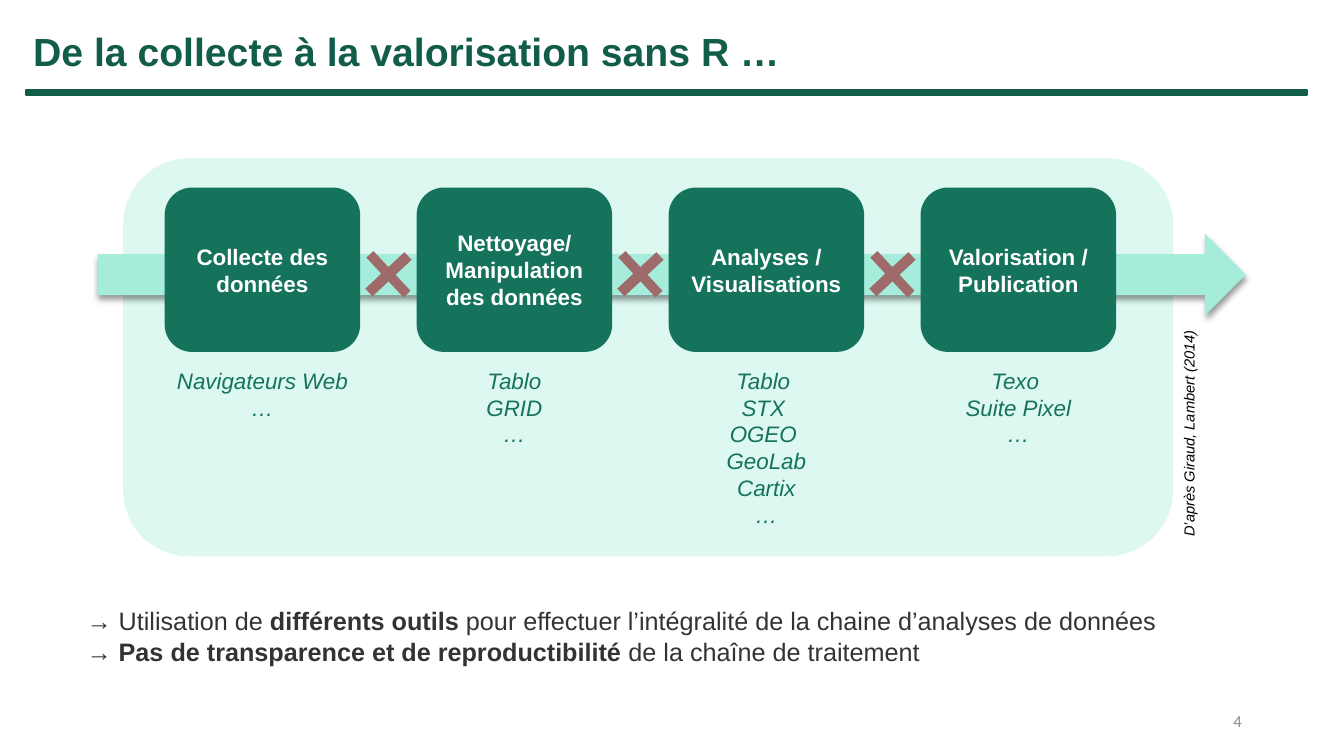
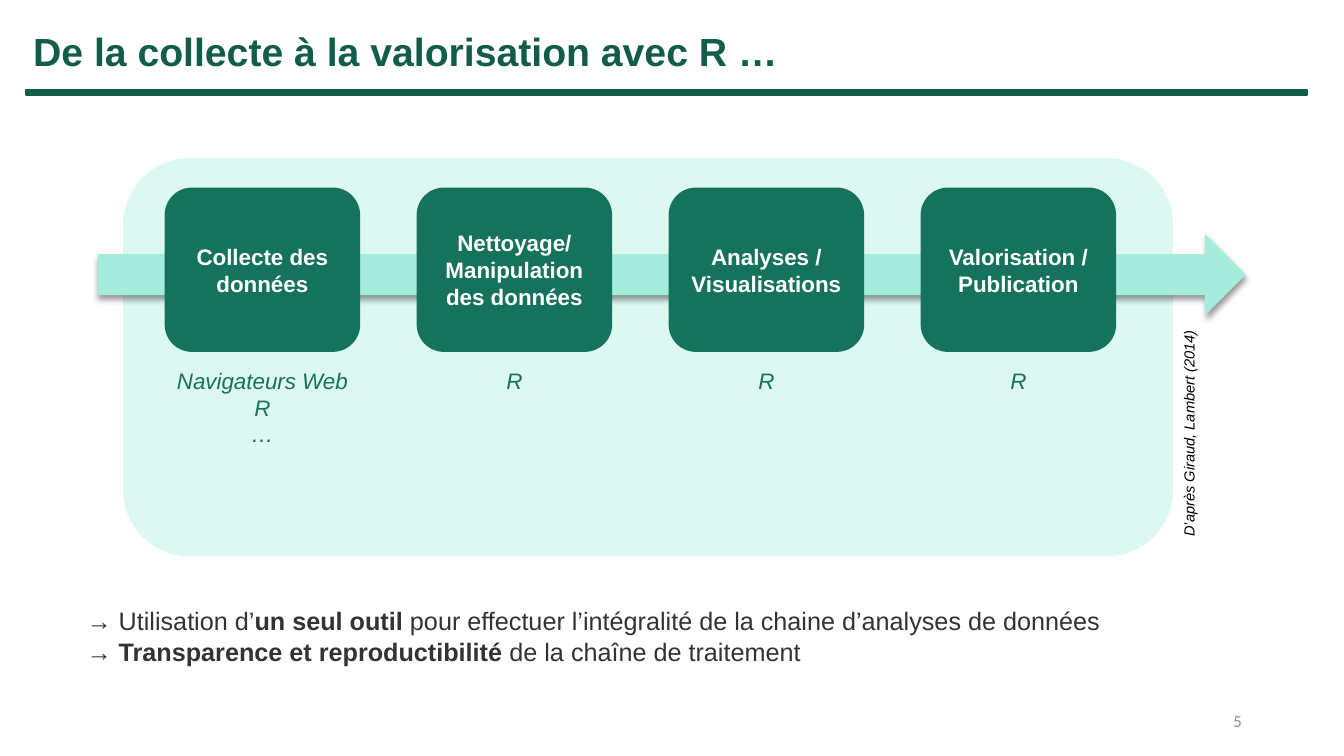
import dataclasses
import typing

import lxml.etree
import pptx
import pptx.dml.color
import pptx.enum.shapes
import pptx.enum.text
import pptx.oxml.ns
import pptx.util

Pt = pptx.util.Pt
RGBColor = pptx.dml.color.RGBColor
SHAPE = pptx.enum.shapes.MSO_SHAPE
ALIGN = pptx.enum.text.PP_ALIGN
ANCHOR = pptx.enum.text.MSO_ANCHOR

DARK = RGBColor(0x12, 0x5D, 0x4A)
GREEN = RGBColor(0x15, 0x73, 0x5C)
MINT = RGBColor(0xA6, 0xEC, 0xDA)
PALE = RGBColor(0xDC, 0xF8, 0xF1)
RED = RGBColor(0x9E, 0x6A, 0x6A)
WHITE = RGBColor(0xFF, 0xFF, 0xFF)
BLACK = RGBColor(0x00, 0x00, 0x00)
TEXT = RGBColor(0x33, 0x33, 0x33)
GREY = RGBColor(0x8C, 0x8C, 0x8C)

TITLE_FONT = {"name": "Arial", "size": Pt(28), "bold": True}
STEP_FONT = {"name": "Arial", "size": Pt(16), "bold": True}
TOOL_FONT = {"name": "Arial", "size": Pt(16), "italic": True}
CREDIT_FONT = {"name": "Arial", "size": Pt(10.5), "italic": True}
BODY_FONT = {"name": "Arial", "size": Pt(18)}
NUMBER_FONT = {"name": "Calibri", "size": Pt(12)}

STEP_LEFT, STEP_TOP, STEP_W, STEP_H, STEP_PITCH = 117.6, 134, 139.7, 117.4, 180
CROSS_W, CROSS_TOP, CROSS_H = 38.8, 176.8, 38.2
STEPS = (
    ("Collecte des données",),
    ("Nettoyage/", "Manipulation des données"),
    ("Analyses / Visualisations",),
    ("Valorisation / Publication",),
)


class Box(typing.NamedTuple):
    left: float
    top: float
    width: float
    height: float


class Run(typing.NamedTuple):
    text: str
    bold: bool = False


Lines = typing.Sequence[typing.Sequence[Run]]


@dataclasses.dataclass(frozen=True)
class Workflow:
    title: str
    tools: tuple[tuple[str, ...], ...]
    findings: Lines
    broken: bool
    number: int


WORKFLOWS = (
    Workflow(
        "De la collecte à la valorisation sans R …",
        (
            ("Navigateurs Web", "…"),
            ("Tablo", "GRID", "…"),
            ("Tablo ", "STX ", "OGEO ", "GeoLab", "Cartix", "…"),
            ("Texo ", "Suite Pixel", "…"),
        ),
        (
            (
                Run("→ Utilisation de "),
                Run("différents outils ", True),
                Run("pour effectuer l’intégralité de la chaine d’analyses de données"),
            ),
            (
                Run("→ "),
                Run("Pas de transparence et de reproductibilité ", True),
                Run("de la chaîne de traitement"),
            ),
        ),
        True,
        4,
    ),
    Workflow(
        "De la collecte à la valorisation avec R …",
        (("Navigateurs Web", "R", "…"), ("R",), ("R",), ("R",)),
        (
            (
                Run("→ Utilisation d’"),
                Run("un seul outil ", True),
                Run("pour effectuer l’intégralité de la chaine d’analyses de données"),
            ),
            (
                Run("→ "),
                Run("Transparence et reproductibilité ", True),
                Run("de la chaîne de traitement"),
            ),
        ),
        False,
        5,
    ),
)


def plain(*lines: str) -> Lines:
    return [[Run(line)] for line in lines]


def write(sp, lines: Lines, font: dict, color: RGBColor, align=ALIGN.LEFT,
          anchor=ANCHOR.TOP, wrap: bool = True) -> None:
    tf = sp.text_frame
    for name, value in {"word_wrap": wrap, "vertical_anchor": anchor}.items():
        setattr(tf, name, value)
    for i, runs in enumerate(lines):
        p = tf.paragraphs[0] if i == 0 else tf.add_paragraph()
        p.alignment = align
        for run in runs:
            r = p.add_run()
            r.text = run.text
            for name, value in {"bold": run.bold, **font}.items():
                setattr(r.font, name, value)
            r.font.color.rgb = color


def add_shape(s, kind, box: Box, fill: RGBColor):
    sp = s.shapes.add_shape(kind, *map(Pt, box))
    sp.shadow.inherit = False
    sp.fill.solid()
    sp.fill.fore_color.rgb = fill
    sp.line.fill.background()
    return sp


def add_text(s, box: Box, lines: Lines, font: dict, color: RGBColor, **layout):
    sp = s.shapes.add_textbox(*map(Pt, box))
    write(sp, lines, font, color, **layout)
    return sp


def add_shadow(sp) -> None:
    qn = pptx.oxml.ns.qn
    effects = sp._element.spPr.find(qn("a:effectLst"))
    shadow = lxml.etree.SubElement(
        effects, qn("a:outerShdw"), blurRad=str(Pt(4)), dist=str(Pt(3)),
        dir="5400000", rotWithShape="0")
    color = lxml.etree.SubElement(shadow, qn("a:srgbClr"), val=str(BLACK))
    lxml.etree.SubElement(color, qn("a:alpha"), val="40000")


def add_frame(s, title: str, number: int) -> None:
    rule = add_shape(s, SHAPE.RECTANGLE, Box(18.7, 64.2, 915, 3.6), DARK)
    rule.line.color.rgb = DARK
    rule.line.width = Pt(1)
    add_text(s, Box(16.6, 15.8, 703.4, 74.9), plain(title), TITLE_FONT, DARK)
    add_text(s, Box(678.2, 500.4, 216, 28.8), plain(str(number)), NUMBER_FONT,
             GREY, align=ALIGN.RIGHT, anchor=ANCHOR.MIDDLE)


def add_step(s, index: int, label: tuple[str, ...], tools: tuple[str, ...]) -> None:
    left = STEP_LEFT + index * STEP_PITCH
    sp = add_shape(s, SHAPE.ROUNDED_RECTANGLE,
                   Box(left, STEP_TOP, STEP_W, STEP_H), GREEN)
    write(sp, plain(*label), STEP_FONT, WHITE, align=ALIGN.CENTER,
          anchor=ANCHOR.MIDDLE)
    add_text(s, Box(left, 258.5, STEP_W, 26.6), plain(*tools), TOOL_FONT, GREEN,
             align=ALIGN.CENTER, wrap=False)


def add_cross(s, index: int) -> None:
    gap = STEP_PITCH - STEP_W
    left = STEP_LEFT + index * STEP_PITCH + STEP_W + (gap - CROSS_W) / 2
    sp = add_shape(s, SHAPE.CROSS, Box(left, CROSS_TOP, CROSS_W, CROSS_H), RED)
    sp.adjustments[0] = 0.41
    sp.rotation = 47


def add_workflow(prs, flow: Workflow) -> None:
    s = prs.slides.add_slide(prs.slide_layouts[6])
    add_frame(s, flow.title, flow.number)
    add_shape(s, SHAPE.ROUNDED_RECTANGLE, Box(88, 113, 750, 284.4), PALE)
    add_shadow(add_shape(s, SHAPE.RIGHT_ARROW, Box(69.8, 167, 820, 58.4), MINT))
    for i, (label, tools) in enumerate(zip(STEPS, flow.tools, strict=True)):
        add_step(s, i, label, tools)
    if flow.broken:
        for i in range(len(STEPS) - 1):
            add_cross(s, i)
    credit = add_text(s, Box(766.8, 299.5, 165, 20.2),
                      plain("D’après Giraud, Lambert (2014)"), CREDIT_FONT, BLACK,
                      align=ALIGN.CENTER, wrap=False)
    credit.rotation = 270
    add_text(s, Box(54.7, 429.1, 830, 51), flow.findings, BODY_FONT, TEXT)


def main() -> None:
    prs = pptx.Presentation()
    for name, value in {"slide_width": Pt(960), "slide_height": Pt(540)}.items():
        setattr(prs, name, value)
    for flow in WORKFLOWS:
        add_workflow(prs, flow)
    prs.save("out.pptx")


if __name__ == "__main__":
    main()
